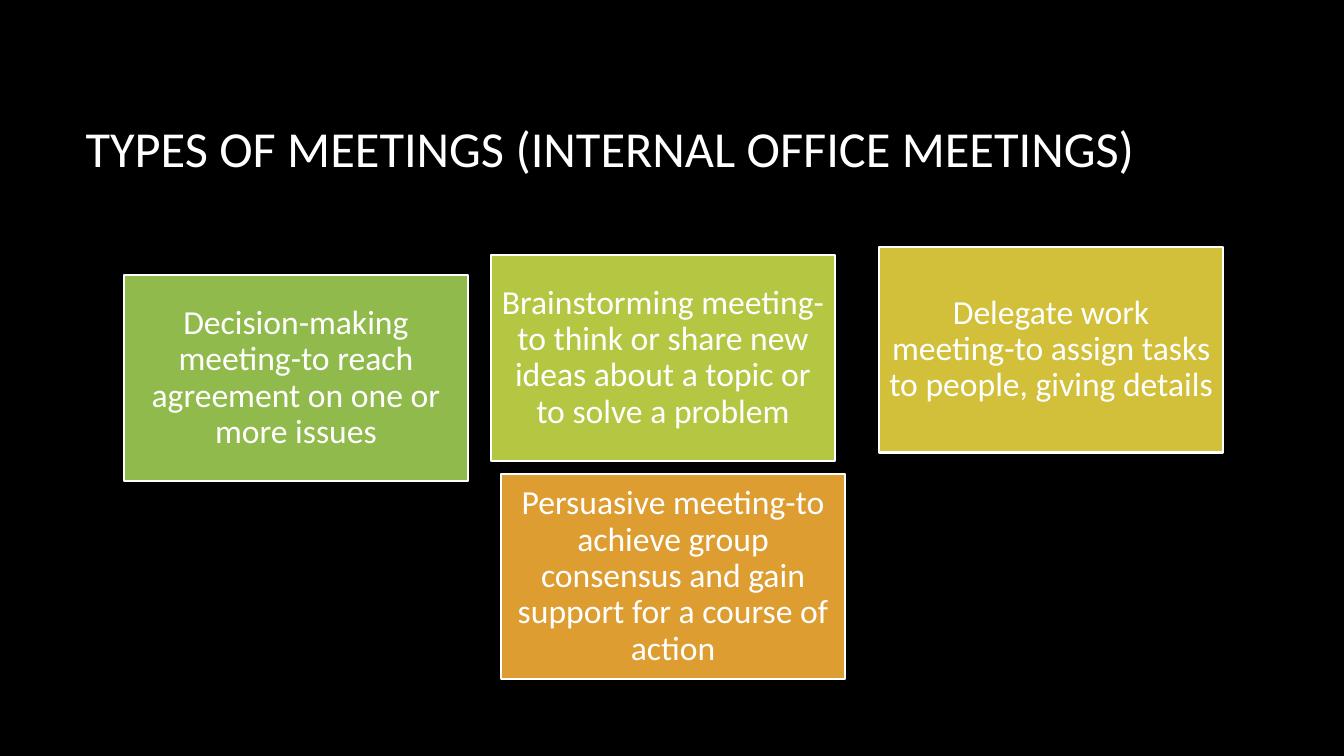
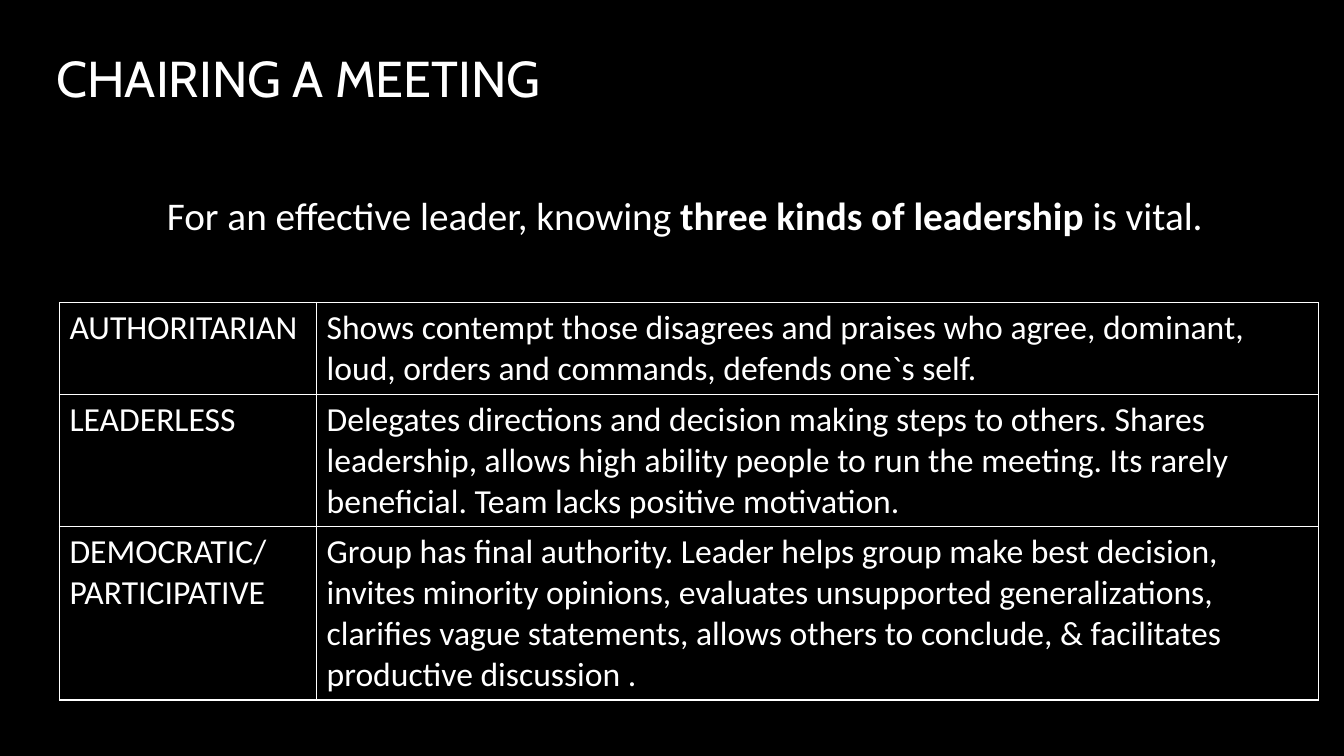
import pptx
import pptx.util
import pptx.dml.color
import pptx.enum.shapes
import pptx.enum.text
import pptx.oxml
import pptx.oxml.ns

Inches = pptx.util.Inches
Pt = pptx.util.Pt
Color = pptx.dml.color.RGBColor.from_string
ALIGN = pptx.enum.text.PP_ALIGN
MIDDLE = pptx.enum.text.MSO_ANCHOR.MIDDLE

THEME = {
    "back": "000000",
    "ink": "FFFFFF",
    "text": {"name": "Calibri", "size": Pt(24)},
    "lead": {"name": "Calibri", "size": Pt(28)},
    "title": {"name": "Calibri", "size": Pt(36)},
    "chair": {"name": "Cabin", "size": Pt(36)},
}

TYPES = {
    "title": "TYPES OF MEETINGS (INTERNAL OFFICE MEETINGS)",
    "size": (3.41, 2.04),
    "cards": [
        (1.23, 2.73, "90BA4C", "Decision-making meeting-to reach agreement on one or more issues"),
        (4.87, 2.53, "B5C643", "Brainstorming meeting-to think or share new ideas about a topic or to solve a problem"),
        (8.72, 2.45, "D2BF3A", "Delegate work meeting-to assign tasks to people, giving details"),
        (4.97, 4.7, "DD9D31", "Persuasive meeting-to achieve group consensus and gain support for a course of action"),
    ],
}

CHAIR = {
    "title": "CHAIRING A MEETING",
    "lead": [
        ("For an effective leader, knowing ", False),
        ("three kinds of leadership ", True),
        ("is vital. ", False),
    ],
    "cols": (2.55, 9.94),
    "rows": [
        (2, "AUTHORITARIAN", "Shows contempt those disagrees and praises who agree, dominant, loud, orders and commands, defends one`s self."),
        (3, "LEADERLESS", "Delegates directions and decision making steps to others. Shares leadership, allows high ability people to run the meeting. Its rarely beneficial. Team lacks positive motivation."),
        (4, "DEMOCRATIC/ PARTICIPATIVE", "Group has final authority. Leader helps group make best decision, invites minority opinions, evaluates unsupported generalizations, clarifies vague statements, allows others to conclude, & facilitates productive discussion ."),
    ],
}


def assign(target, values):
    for key, value in values.items():
        setattr(target, key, value)


def write(frame, runs, style, **form):
    para = frame.paragraphs[0]
    assign(para, form)
    for text, bold in runs:
        run = para.add_run()
        run.text = text
        assign(run.font, {**THEME[style], "bold": bold})
        run.font.color.rgb = Color(THEME["ink"])


def add_text(slide, place, runs, style, **form):
    box = slide.shapes.add_textbox(*map(Inches, place))
    assign(box.text_frame, {"word_wrap": True, "vertical_anchor": MIDDLE})
    write(box.text_frame, runs, style, **form)


def add_page(deck, title, place, style):
    slide = deck.slides.add_slide(deck.slide_layouts[6])
    slide.background.fill.solid()
    slide.background.fill.fore_color.rgb = Color(THEME["back"])
    add_text(slide, place, [(title, False)], style)
    return slide


def add_card(slide, left, top, fill, text):
    card = slide.shapes.add_shape(
        pptx.enum.shapes.MSO_SHAPE.RECTANGLE,
        *map(Inches, (left, top, *TYPES["size"])))
    card.shadow.inherit = False
    card.fill.solid()
    card.fill.fore_color.rgb = Color(fill)
    card.line.color.rgb = Color(THEME["ink"])
    card.line.width = Pt(1.5)
    frame = card.text_frame
    assign(frame, {"word_wrap": True, "vertical_anchor": MIDDLE})
    for side in ("left", "right", "top", "bottom"):
        setattr(frame, "margin_" + side, Inches(0.1))
    write(frame, [(text, False)], "text", alignment=ALIGN.CENTER, line_spacing=0.9)


def add_edges(cell):
    props = cell._tc.get_or_add_tcPr()
    for side in "LRTB":
        props.append(pptx.oxml.parse_xml(
            f'<a:ln{side} {pptx.oxml.ns.nsdecls("a")} w="{Pt(1)}"><a:solidFill>'
            f'<a:srgbClr val="{THEME["ink"]}"/></a:solidFill></a:ln{side}>'))


def add_grid(slide, left, top, cols, rows):
    highs = [0.1 + 0.405 * lines for lines, *_ in rows]
    place = map(Inches, (left, top, sum(cols), sum(highs)))
    table = slide.shapes.add_table(len(rows), len(cols), *place).table
    assign(table, {"first_row": False, "horz_banding": False})
    for col, width in zip(table.columns, cols):
        col.width = Inches(width)
    for row, high, (_, *texts) in zip(table.rows, highs, rows):
        row.height = Inches(high)
        for cell, text in zip(row.cells, texts):
            add_edges(cell)
            cell.fill.background()
            write(cell.text_frame, [(text, False)], "text")


def main():
    deck = pptx.Presentation()
    assign(deck, {"slide_width": Inches(13.33), "slide_height": Inches(7.5)})

    slide = add_page(deck, TYPES["title"], (0.75, 0.67, 11.08, 1.59), "title")
    for card in TYPES["cards"]:
        add_card(slide, *card)

    slide = add_page(deck, CHAIR["title"], (0.46, 0.27, 12.08, 1), "chair")
    add_text(slide, (0.59, 1.54, 12.49, 1.18), CHAIR["lead"], "lead", alignment=ALIGN.CENTER)
    add_grid(slide, 0.59, 3, CHAIR["cols"], CHAIR["rows"])

    deck.save("out.pptx")


if __name__ == "__main__":
    main()
